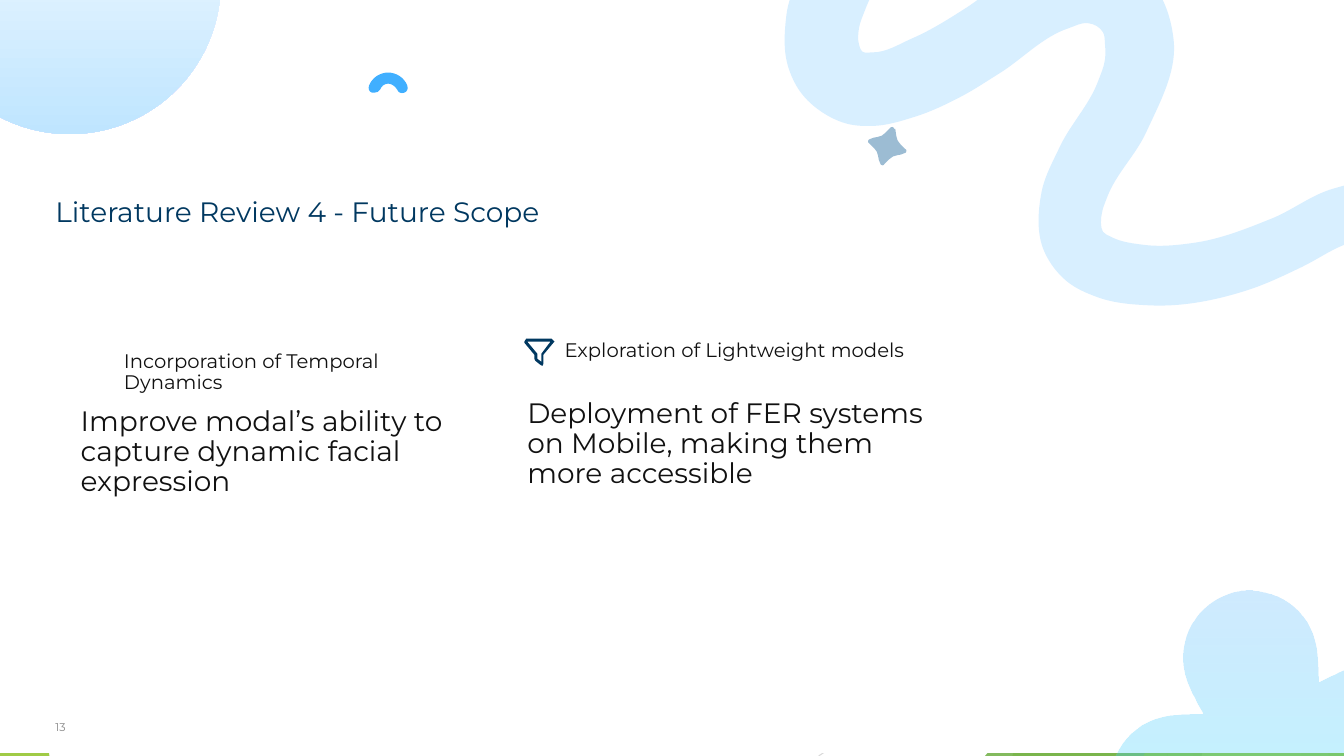
import math

import pptx
import pptx.dml.color
import pptx.enum.shapes
import pptx.enum.text
import pptx.oxml.ns
import pptx.util

NAVY, INK, GREY, SKY = "003860", "111111", "888888", "40AFFF"
LIME, LEAF, MOSS, PALE = "90C226", "54A021", "3F7819", "C0E474"
KIND = pptx.enum.shapes.MSO_SHAPE
ANCHOR = pptx.enum.text.MSO_ANCHOR
TOP, FOOT, EDGE = -0.01, 7.5, 13.33

# Points the ribbon runs through
RIBBON = [
    (15.26, 3.74), (15.01, 3.88), (14.73, 3.98), (14.38, 4.07), (14.21, 4.07),
    (14.14, 4.04), (14.11, 3.97), (14.09, 3.88), (14.1, 3.79), (14.17, 3.54),
    (14.39, 2.98), (14.38, 2.29), (13.84, 1.8), (13.23, 1.87), (12.61, 2.17),
    (11.84, 2.41), (11.35, 2.43), (11.02, 2.35), (10.94, 2.3), (10.92, 2.21),
    (10.93, 2.11), (10.98, 1.96), (11.37, 1.31), (11.64, 0.39), (11.46, -0.12),
    (11.2, -0.36), (10.96, -0.45), (10.5, -0.43), (9.98, -0.2), (9.58, 0.08),
    (9.05, 0.38), (8.65, 0.52), (8.55, 0.51), (8.52, 0.44), (8.52, 0.28),
    (8.58, 0.1), (8.74, -0.26), (8.84, -0.57), (8.86, -0.77), (8.86, -0.89),
    (8.73, -1.16), (8.46, -1.26), (8.19, -1.13), (8.09, -0.86), (8.09, -0.72),
    (8.04, -0.53), (7.8, 0.15), (7.82, 0.67), (7.93, 0.9), (8.18, 1.13),
    (8.41, 1.23), (8.65, 1.25), (9.07, 1.16), (9.53, 0.96), (9.91, 0.73),
    (10.6, 0.28), (10.79, 0.23), (10.88, 0.26), (10.94, 0.32), (10.96, 0.44),
    (10.96, 0.59), (10.89, 0.81), (10.51, 1.46), (10.33, 1.91), (10.36, 2.5),
    (10.58, 2.79), (10.89, 2.95), (11.41, 3.03), (12.37, 2.88), (12.91, 2.65),
    (13.33, 2.43), (13.64, 2.33), (13.74, 2.33), (13.85, 2.39), (13.9, 2.48),
    (13.92, 2.58), (13.92, 2.75), (13.84, 3.02), (13.66, 3.57), (13.66, 4.13),
    (13.85, 4.46), (14.15, 4.57), (14.83, 4.5), (15.17, 4.41), (15.52, 4.29),
    (15.7, 4.14), (15.7, 3.87), (15.53, 3.71)]
# Curves: a start, then two handles and an end for each piece
ARCH = [
    (3.71, 0.92), (3.71, 0.92), (3.7, 0.92), (3.69, 0.92),
    (3.66, 0.91), (3.65, 0.88), (3.66, 0.85),
    (3.69, 0.77), (3.77, 0.72), (3.85, 0.72),
    (3.93, 0.72), (4.01, 0.77), (4.04, 0.85),
    (4.05, 0.88), (4.04, 0.91), (4.01, 0.92),
    (3.98, 0.93), (3.95, 0.92), (3.94, 0.89),
    (3.92, 0.86), (3.89, 0.83), (3.85, 0.83),
    (3.81, 0.83), (3.78, 0.86), (3.77, 0.89),
    (3.76, 0.91), (3.74, 0.92), (3.71, 0.92)]
LOBE = [
    (11.94, 7.08), (11.85, 6.93), (11.79, 6.79), (11.76, 6.69),
    (11.67, 6.34), (11.88, 5.98), (12.23, 5.88),
    (12.58, 5.79), (12.95, 6), (13.04, 6.35),
    (13.07, 6.45), (13.08, 6.6), (13.08, 6.77)]
TIP = [
    (8.88, 1.28), (8.88, 1.3), (8.89, 1.33), (8.89, 1.35),
    (8.89, 1.38), (8.91, 1.41), (8.93, 1.43),
    (8.95, 1.45), (8.96, 1.46), (8.98, 1.48),
    (8.99, 1.48), (8.99, 1.49), (8.99, 1.5),
    (8.99, 1.51), (8.98, 1.52), (8.97, 1.52)]
FUNNEL = [
    [(5.2, 3.39), (5.22, 3.36), (5.47, 3.36), (5.5, 3.39), (5.49, 3.4),
     (5.39, 3.52), (5.39, 3.61), (5.38, 3.63), (5.36, 3.62), (5.31, 3.58),
     (5.3, 3.56), (5.3, 3.52), (5.2, 3.4)],
    [(5.23, 3.39), (5.33, 3.51), (5.33, 3.56), (5.37, 3.59), (5.37, 3.51),
     (5.46, 3.39)]]


def cm(inch):
    return pptx.util.Cm(2.54 * inch)


def color(text):
    return pptx.dml.color.RGBColor.from_string(text)


def smooth(dots):
    """Turn a ring of dots into curve pieces that meet without corners."""
    count = len(dots)

    def slope(i):
        (ax, ay), (bx, by), (cx, cy) = (dots[(i + k) % count] for k in (-1, 0, 1))
        back = math.hypot(bx - ax, by - ay) ** 2
        ahead = math.hypot(cx - bx, cy - by) ** 2
        x = (bx - ax) / back + (cx - bx) / ahead
        y = (by - ay) / back + (cy - by) / ahead
        size = math.hypot(x, y)
        return x / size, y / size

    curve = [dots[0]]
    for i in range(count):
        (ax, ay), (bx, by) = dots[i], dots[(i + 1) % count]
        reach = math.hypot(bx - ax, by - ay) / 3
        (mx, my), (nx, ny) = slope(i), slope(i + 1)
        curve += [(ax + reach * mx, ay + reach * my),
                  (bx - reach * nx, by - reach * ny), (bx, by)]
    return curve


def spin(arm, x, y):
    """Repeat an arm in four quarter turns round a centre."""
    ring = arm[:1]
    for _ in range(4):
        ring = ring + arm[1:]
        arm = [(x - (b - y), y + (a - x)) for a, b in arm]
    return ring


class Deck:
    font = "Montserrat"

    def __init__(self):
        self.show = pptx.Presentation()
        self.show.slide_width, self.show.slide_height = cm(EDGE), cm(FOOT)
        self.slide = self.show.slides.add_slide(self.show.slide_layouts[6])
        self.shapes = self.slide.shapes

    def node(self, host, tag, **attrs):
        child = host.makeelement(pptx.oxml.ns.qn(tag), attrs)
        host.append(child)
        return child

    def paint(self, shape, fills, alphas=()):
        """Fill with one colour, or shade downward between two."""
        shape.shadow.inherit = False
        shape.line.fill.background()
        if len(fills) == 1:
            shape.fill.solid()
            shape.fill.fore_color.rgb = color(fills[0])
        else:
            shape.fill.gradient()
            shape.fill.gradient_angle = 270
            for stop, tint in zip(shape.fill.gradient_stops, fills):
                stop.color.rgb = color(tint)
        tints = list(shape.element.iter(pptx.oxml.ns.qn("a:srgbClr")))
        for tint, alpha in zip(tints, alphas):
            self.node(tint, "a:alpha", val=str(alpha * 1000))

    def preset(self, kind, box, fills, alphas=(), bend=None):
        shape = self.shapes.add_shape(kind, *map(cm, box))
        if bend is not None:
            shape.adjustments[0] = bend
        self.paint(shape, fills, alphas)

    def free(self, loops, fills, alphas=()):
        """Draw one outline of straight sides, with any holes."""
        loops = [[(cm(x), cm(y)) for x, y in loop] for loop in loops]
        pen = self.shapes.build_freeform(*loops[0][0])
        for loop in loops:
            if loop is not loops[0]:
                pen.move_to(*loop[0])
            pen.add_line_segments(loop[1:], close=True)
        shape = pen.convert_to_shape()
        self.paint(shape, fills, alphas)
        return shape

    def curve(self, dots, fills, alphas=()):
        shape = self.free([dots[::3]], fills, alphas)
        sides = list(shape.element.iter(pptx.oxml.ns.qn("a:lnTo")))
        for i, side in enumerate(sides):
            host = side.getparent()
            bow = self.node(host, "a:cubicBezTo")
            for x, y in dots[3 * i + 1:3 * i + 4]:
                self.node(bow, "a:pt", x=str(cm(x) - shape.left),
                          y=str(cm(y) - shape.top))
            host.replace(side, bow)

    def line(self, start, end, tint, width):
        kind = pptx.enum.shapes.MSO_CONNECTOR.STRAIGHT
        link = self.shapes.add_connector(kind, *map(cm, start + end))
        link.line.color.rgb = color(tint)
        link.line.width = pptx.util.Pt(width)
        self.node(link.element.spPr, "a:effectLst")

    def text(self, words, box, size, tint=INK, anchor=ANCHOR.TOP):
        frame = self.shapes.add_textbox(*map(cm, box)).text_frame
        style = {"word_wrap": True, "vertical_anchor": anchor,
                 "margin_left": 0, "margin_right": 0,
                 "margin_top": 0, "margin_bottom": 0}
        for key, value in style.items():
            setattr(frame, key, value)
        para = frame.paragraphs[0]
        para.line_spacing = 0.9
        run = para.add_run()
        run.text = words
        for key, value in {"name": self.font, "size": pptx.util.Pt(size)}.items():
            setattr(run.font, key, value)
        run.font.color.rgb = color(tint)


def facets(deck):
    """Lay the green shards whose feet show below the white panel."""
    def shard(head, foot, tint, alpha):
        deck.free([[(head, TOP), (EDGE, TOP), (EDGE, FOOT), (foot, FOOT)]],
                  [tint], [alpha])

    def wedge(left, top, width, tint, alpha, bend):
        deck.preset(KIND.ISOSCELES_TRIANGLE, (left, top, width, FOOT - top),
                    [tint], [alpha], bend)

    deck.line((10.25, 0), (11.58, FOOT), "BFBFBF", 0.75)
    deck.line((EDGE, 4.03), (8.12, FOOT), "D9D9D9", 0.75)
    shard(12.28, 10.04, LIME, 30)
    shard(10.5, 11.83, LIME, 20)
    wedge(9.77, 3.33, 3.56, LEAF, 72, 1)
    shard(10.21, 12.91, MOSS, 70)
    shard(13.03, 11.92, PALE, 70)
    shard(11.96, 13.18, LIME, 65)
    wedge(11.34, 3.93, 1.99, LIME, 80, 1)
    wedge(0, 4.39, 0.49, LIME, 85, 0)


def main():
    deck = Deck()
    facets(deck)
    deck.preset(KIND.RECTANGLE, (0, -0.03, EDGE, FOOT), ["FFFFFF"])
    deck.text("13", (0.55, 7.12, 0.2, 0.2), 8, GREY, ANCHOR.MIDDLE)
    deck.curve(spin(TIP, 8.8, 1.45), ["005490"], [39])
    deck.curve(ARCH, [SKY])
    deck.curve(spin(LOBE, 12.66, 7.5), [SKY, "55FAFE"], [25, 40])
    deck.text("Literature Review 4 - Future Scope",
              (0.55, 1.97, 8.68, 0.86), 20, NAVY)
    deck.curve(smooth(RIBBON), [SKY], [20])
    for words, box, size in [
            ("Exploration of Lightweight models", (5.6, 3.38, 3.5, 0.4), 14),
            ("Deployment of FER systems on Mobile, making them more accessible",
             (5.23, 3.96, 4, 1), 20),
            ("Incorporation of Temporal Dynamics", (1.23, 3.49, 3.5, 0.4), 14),
            ("Improve modal’s ability to capture dynamic facial expression",
             (0.8, 4.04, 4, 1), 20)]:
        deck.text(words, box, size)
    deck.free(FUNNEL, [NAVY])
    deck.preset(KIND.OVAL, (-0.81, -1.67, 3, 3), ["FFFFFF", "BFE5FF"])
    deck.show.save("out.pptx")


if __name__ == "__main__":
    main()
